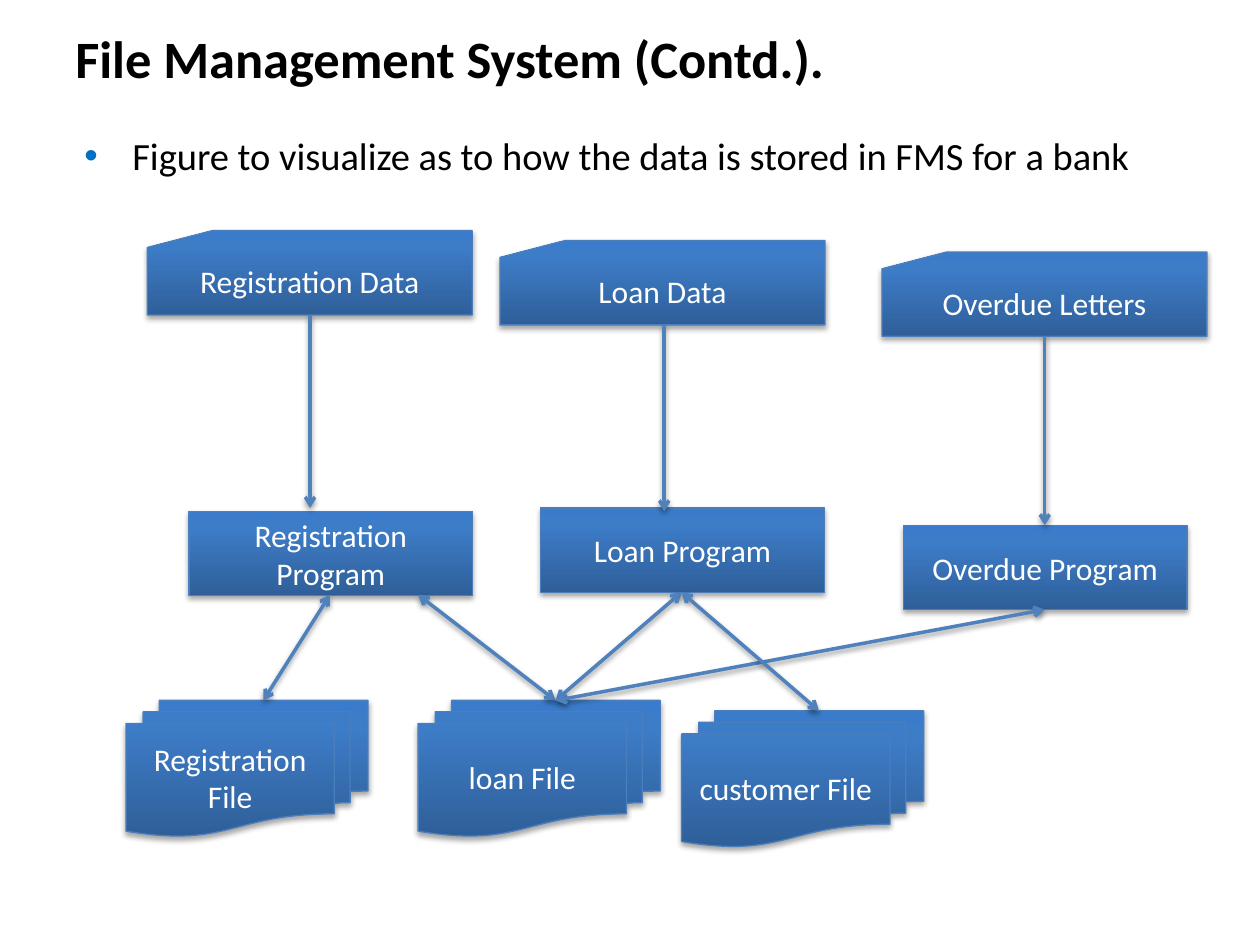
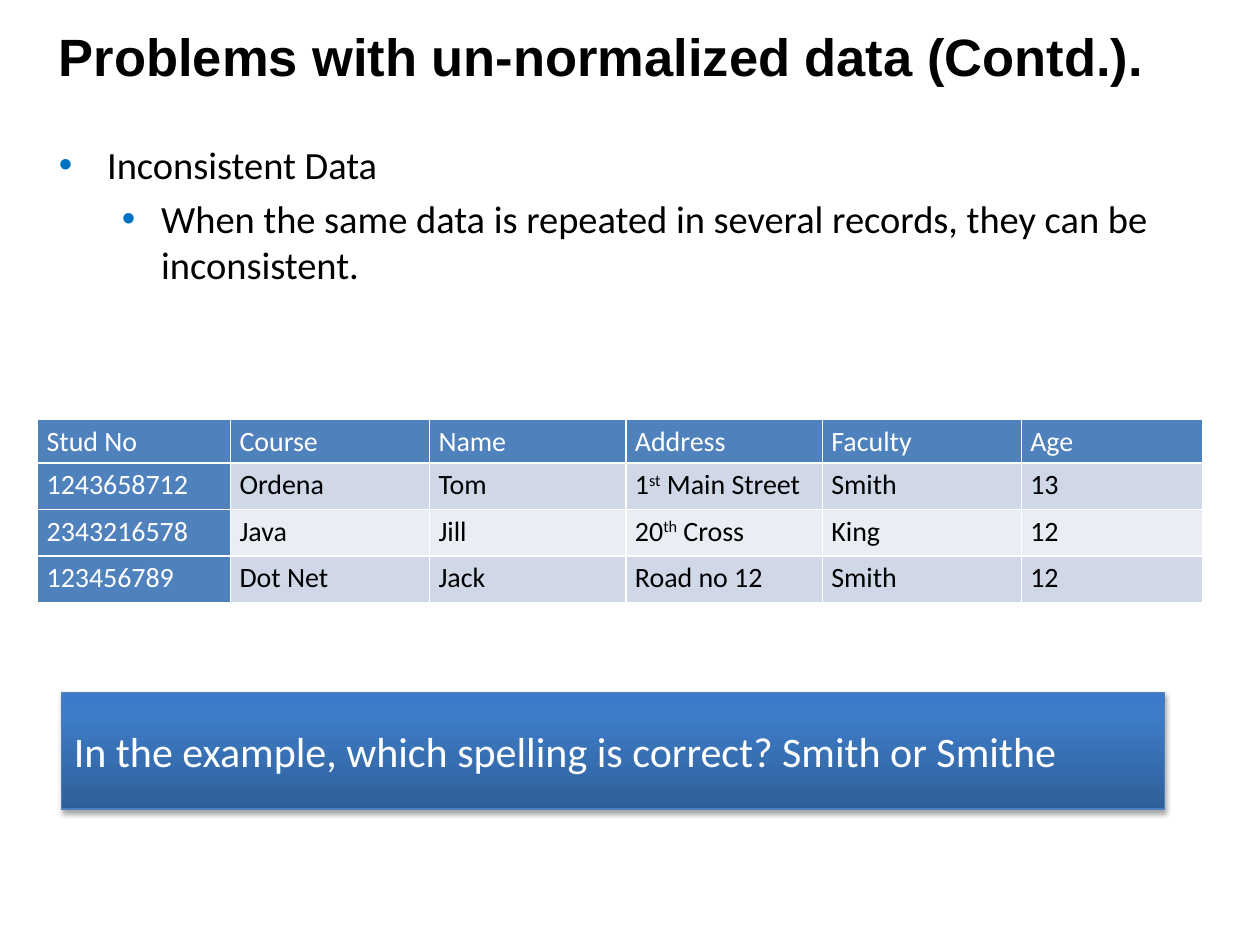
import copy

import pptx
import pptx.dml.color
import pptx.enum.shapes
import pptx.enum.text
import pptx.oxml
import pptx.oxml.ns
import pptx.util

Cm = pptx.util.Cm
Pt = pptx.util.Pt
RGBColor = pptx.dml.color.RGBColor
Kind = pptx.enum.shapes.MSO_SHAPE
Align = pptx.enum.text.PP_ALIGN
qn = pptx.oxml.ns.qn

BLACK = RGBColor(0x00, 0x00, 0x00)
WHITE = RGBColor(0xFF, 0xFF, 0xFF)
BLUE = RGBColor(0x4F, 0x81, 0xBD)
EDGE = RGBColor(0x4B, 0x7E, 0xBC)
DOT = RGBColor(0x00, 0x70, 0xC0)
BAND = RGBColor(0xD0, 0xD8, 0xE8)
PALE = RGBColor(0xE9, 0xED, 0xF4)
BLEND = [
    (0, RGBColor(0x2F, 0x5F, 0x99)),
    (0.8, RGBColor(0x3D, 0x7C, 0xC7)),
    (1, RGBColor(0x3A, 0x7C, 0xCB)),
]
NS = pptx.oxml.ns.nsdecls("a")
SHADOW = (
    f'<a:effectLst {NS}><a:outerShdw blurRad="40000" dist="%d" dir="5400000" rotWithShape="0">'
    '<a:srgbClr val="000000"><a:alpha val="%d"/></a:srgbClr></a:outerShdw></a:effectLst>'
)


def write(para, text, size=18, color=WHITE, font="Calibri", bold=False,
          align=Align.LEFT, level=None, before=0, spacing=None):
    para.alignment = align
    para.space_before = Pt(before)
    if spacing:
        para.line_spacing = spacing
    if level is not None:
        margin, hang = [(0.97, 0.97), (2.06, 0.79)][level]
        props = para._p.get_or_add_pPr()
        props.set("marL", str(Cm(margin)))
        props.set("indent", str(-Cm(hang)))
        for mark in (f'<a:buClr {NS}><a:srgbClr val="{DOT}"/></a:buClr>',
                     f'<a:buFont {NS} typeface="Arial"/>',
                     f'<a:buChar {NS} char="•"/>'):
            props.append(pptx.oxml.parse_xml(mark))
    for order, part in enumerate(text.split("^")):
        run = para.add_run()
        run.text = part
        run.font.size = Pt(size)
        run.font.name = font
        run.font.bold = bold
        run.font.color.rgb = color
        if order % 2:
            run.font._element.set("baseline", "30000")


def add_box(slide, kind, left, top, width, height, text, **style):
    box = slide.shapes.add_shape(kind, Cm(left), Cm(top), Cm(width), Cm(height))
    box.fill.gradient()
    box.fill.gradient_angle = 90
    stops = box._element.spPr.find(".//" + qn("a:gsLst"))
    stops.append(copy.deepcopy(stops[0]))
    for stop, (place, shade) in zip(box.fill.gradient_stops, BLEND):
        stop.position = place
        stop.color.rgb = shade
    box.line.color.rgb = EDGE
    box.line.width = Pt(0.75)
    box._element.spPr.append(pptx.oxml.parse_xml(SHADOW % (23000, 35000)))
    box.text_frame.word_wrap = True
    write(box.text_frame.paragraphs[0], text, **style)


deck = pptx.Presentation()
deck.slide_width = Cm(25.4)
deck.slide_height = Cm(19.05)

pages = [
    ("File Management System (Contd.).", "Calibri", (1.27, 0.41), (1.45, 2.54),
     ["Figure to visualize as to how the data is stored in FMS for a bank"]),
    ("Problems with un-normalized data (Contd.).", "Arial", (0.94, 0.36), (0.94, 2.72),
     ["Inconsistent Data",
      "When the same data is repeated in several records, they can be inconsistent."]),
]
slides = []
for title, font, (left, top), (x, y), points in pages:
    slide = deck.slides.add_slide(deck.slide_layouts[6])
    slides.append(slide)
    head = slide.shapes.add_textbox(Cm(left), Cm(top), Cm(22.86), Cm(1.55)).text_frame
    head.word_wrap = True
    write(head.paragraphs[0], title, size=30, color=BLACK, font=font, bold=True)
    body = slide.shapes.add_textbox(Cm(x), Cm(y), Cm(22.89), Cm(12.42)).text_frame
    body.word_wrap = True
    for level, point in enumerate(points):
        para = body.add_paragraph() if level else body.paragraphs[0]
        write(para, point, size=22, color=BLACK, level=level, before=4.4 * level)

flow, issue = slides

tiers = [
    (Kind.FLOWCHART_CARD, 6.55, 1.7, [
        (2.97, 4.65, "Registration Data"),
        (10.08, 4.85, "Loan Data"),
        (17.78, 5.08, "Overdue Letters")]),
    (Kind.FLOWCHART_PROCESS, 5.72, 1.7, [
        (3.81, 10.31, "Registration Program"),
        (10.9, 10.24, "Loan Program"),
        (18.21, 10.59, "Overdue Program")]),
    (Kind.FLOWCHART_MULTIDOCUMENT, 4.88, 2.74, [
        (2.54, 14.12, "Registration File"),
        (8.43, 14.12, "loan File"),
        (13.74, 14.33, "customer File")]),
]
for kind, width, height, items in tiers:
    for left, top, label in items:
        add_box(flow, kind, left, top, width, height, label, align=Align.CENTER)

loan = (11.2, 14.12)
links = [
    ((6.25, 6.35), (6.25, 10.24), ["tail"]),
    ((13.39, 6.55), (13.39, 10.31), ["tail"]),
    ((21.06, 6.78), (21.06, 10.59), ["tail"]),
    ((6.65, 11.99), (5.31, 14.12), ["head", "tail"]),
    ((8.43, 11.99), loan, ["head", "tail"]),
    ((13.74, 11.94), loan, ["head", "tail"]),
    ((21.06, 12.29), loan, ["head", "tail"]),
    ((13.74, 11.94), (16.51, 14.33), ["head", "tail"]),
]
for start, end, tips in links:
    link = flow.shapes.add_connector(
        pptx.enum.shapes.MSO_CONNECTOR.STRAIGHT, *map(Cm, start + end))
    link.line.color.rgb = BLUE
    link.line.width = Pt(2)
    props = link._element.spPr
    for tip in tips:
        props.find(qn("a:ln")).append(
            pptx.oxml.parse_xml(f'<a:{tip}End {NS} type="arrow"/>'))
    props.append(pptx.oxml.parse_xml(SHADOW % (20000, 38000)))

rows = [
    ["Stud No", "Course", "Name", "Address", "Faculty", "Age"],
    ["1243658712", "Ordena", "Tom", "1^st^ Main Street", "Smith", "13"],
    ["2343216578", "Java", "Jill", "20^th^ Cross", "King", "12"],
    ["123456789", "Dot Net", "Jack", "Road no 12", "Smith", "12"],
]
widths = [3.89, 4.01, 3.96, 3.96, 4.01, 3.66]
grid = issue.shapes.add_table(
    len(rows), len(widths), Cm(0.76), Cm(8.46), Cm(sum(widths)), Cm(3.69)).table
for col, width in zip(grid.columns, widths):
    col.width = Cm(width)
for r, row in enumerate(rows):
    grid.rows[r].height = Cm(0.94 if r else 0.87)
    for c, text in enumerate(row):
        cell = grid.cell(r, c)
        cell.margin_left = cell.margin_right = Cm(0.18)
        cell.margin_top = cell.margin_bottom = 0
        for side in "LRTB":
            cell._tc.get_or_add_tcPr().append(pptx.oxml.parse_xml(
                f'<a:ln{side} {NS} w="12700"><a:solidFill><a:srgbClr val="{WHITE}"/>'
                f'</a:solidFill></a:ln{side}>'))
        lead = r == 0 or c == 0
        cell.fill.solid()
        cell.fill.fore_color.rgb = BLUE if lead else (BAND if r % 2 else PALE)
        write(cell.text_frame.paragraphs[0], text, size=16,
              color=WHITE if lead else BLACK, spacing=1.15)

add_box(issue, Kind.RECTANGLE, 1.24, 13.97, 22.23, 2.34,
        "In the example, which spelling is correct? Smith or Smithe", size=24)

deck.save("out.pptx")
